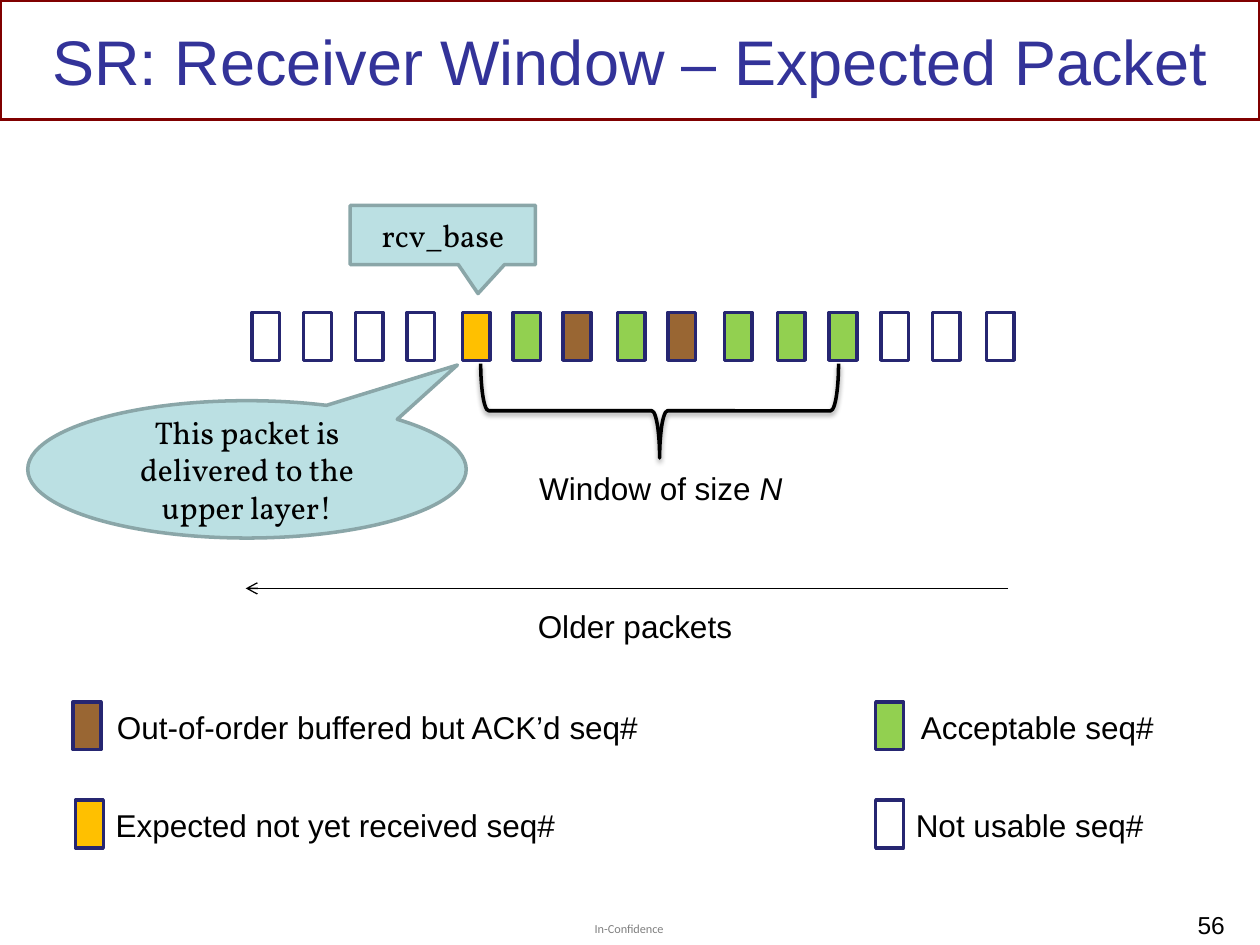
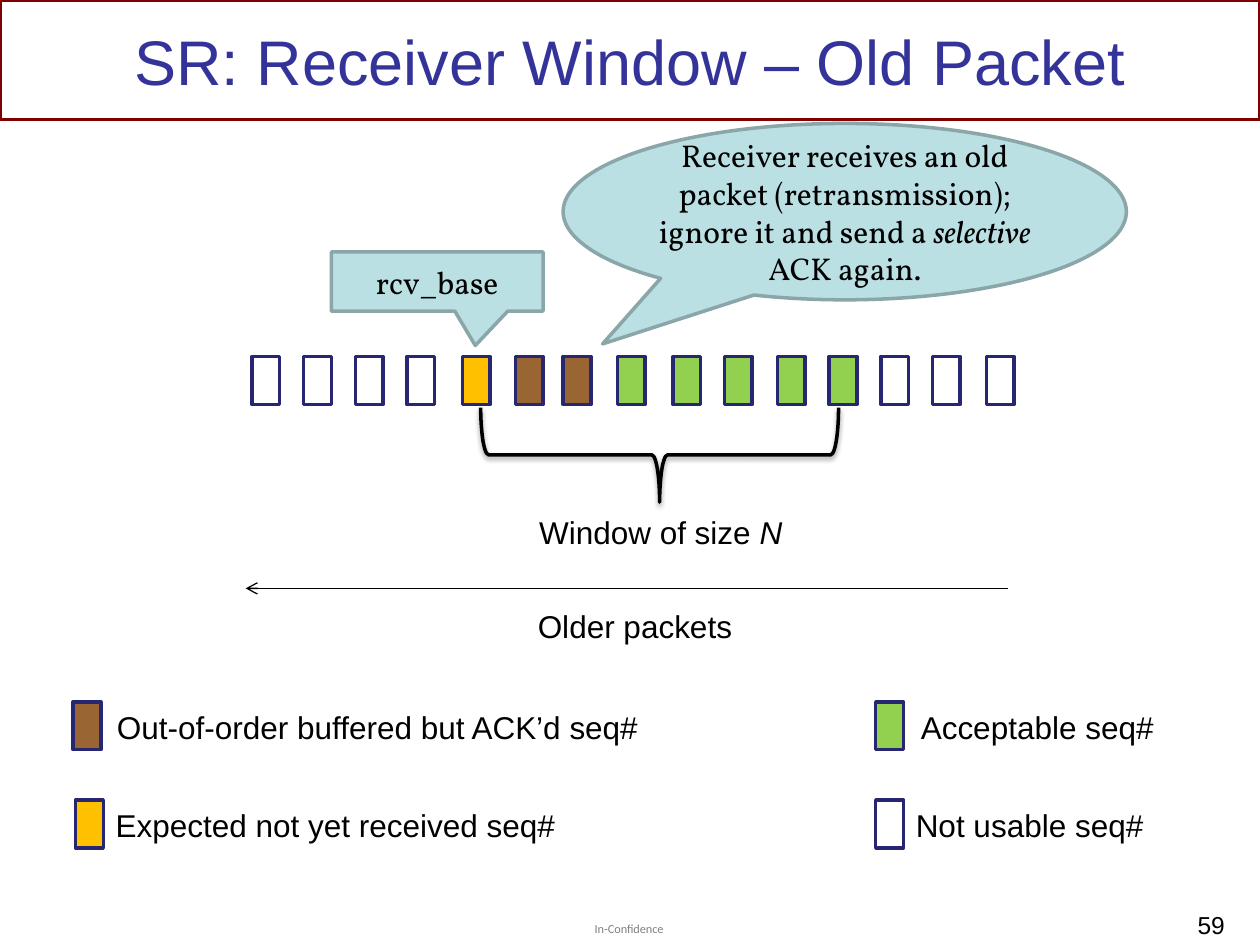
from lxml import etree
from pptx import Presentation
from pptx.dml.color import RGBColor
from pptx.enum.shapes import MSO_CONNECTOR, MSO_SHAPE
from pptx.enum.text import MSO_ANCHOR, MSO_AUTO_SIZE, PP_ALIGN
from pptx.oxml import parse_xml
from pptx.oxml.ns import nsdecls, qn
from pptx.util import Inches, Pt

RECTANGLE = MSO_SHAPE.RECTANGLE
RIGHT_BRACE = MSO_SHAPE.RIGHT_BRACE
BOX_CALLOUT = MSO_SHAPE.RECTANGULAR_CALLOUT
OVAL_CALLOUT = MSO_SHAPE.OVAL_CALLOUT
STRAIGHT = MSO_CONNECTOR.STRAIGHT
LEFT, CENTER, RIGHT = PP_ALIGN.LEFT, PP_ALIGN.CENTER, PP_ALIGN.RIGHT
TOP, MIDDLE = MSO_ANCHOR.TOP, MSO_ANCHOR.MIDDLE
GROW, FIXED = MSO_AUTO_SIZE.SHAPE_TO_FIT_TEXT, MSO_AUTO_SIZE.NONE

COLORS = {
    "title": "333399", "title frame": "800000", "text": "000000", "footer": "808080",
    "packet line": "262671", "callout": "BBE0E3", "callout line": "8AA6A8",
    "buffered": "996633", "expected": "FFC000", "acceptable": "92D050", "unusable": "FFFFFF",
}
PACKET_KINDS = {"B": "buffered", "E": "expected", "A": "acceptable", "U": "unusable"}
PACKET_SIZE = (0.22, 0.38)
PACKET_LEFTS = [2, 2.41, 2.82, 3.23, 3.67, 4.07, 4.47, 4.9, 5.3, 5.75, 6.17, 6.58, 6.99, 7.4, 7.83]

# kind, packet left, top, label left, label width, label
LEGEND = [
    ("buffered", 0.58, 5.57, 0.83, 4.48, "Out-of-order buffered but ACK’d seq#"),
    ("expected", 0.6, 6.35, 0.82, 3.86, "Expected not yet received seq#"),
    ("acceptable", 6.95, 5.57, 7.21, 2.07, "Acceptable seq#"),
    ("unusable", 6.95, 6.35, 7.17, 2.03, "Not usable seq#"),
]

# Runs of text are (words, italic); a callout is (preset, box, pointer, runs).
SLIDES = [
    {
        "title": "SR: Receiver Window – Expected Packet",
        "number": "56",
        "row top": 2.48,
        "packets": "UUUUEABABAAAUUU",
        "moved": {},
        "callouts": [
            (BOX_CALLOUT, (2.78, 1.63, 1.47, 0.47), (0.19, 0.99), [("rcv_base", False)]),
            (OVAL_CALLOUT, (0.22, 3.18, 3.48, 1.09), (0.48, -0.76),
             [("This packet is delivered to the upper layer!", False)]),
        ],
    },
    {
        "title": "SR: Receiver Window – Old Packet",
        "number": "59",
        "row top": 2.83,
        "packets": "UUUUEBBAAAAAUUU",
        "moved": {5: 4.09, 8: 5.34},
        "callouts": [
            (BOX_CALLOUT, (2.63, 2, 1.68, 0.47), (0.18, 1.08), [("rcv_base", False)]),
            (OVAL_CALLOUT, (4.47, 0.98, 4.47, 1.4), (-0.43, 0.75),
             [("Receiver receives an old packet (retransmission); ignore it and send a ", False),
              ("selective", True), (" ACK again.", False)]),
        ],
    },
]


def color(name):
    return RGBColor.from_string(COLORS[name])


def write(shape, runs, size=18, font="Arial", ink="text", align=LEFT, anchor=TOP,
          wrap=True, auto_size=FIXED):
    frame = shape.text_frame
    frame.word_wrap = wrap
    frame.auto_size = auto_size
    frame.vertical_anchor = anchor
    paragraph = frame.paragraphs[0]
    paragraph.alignment = align
    paragraph.font.size = Pt(size)
    paragraph.font.name = font
    paragraph.font.color.rgb = color(ink)
    for words, italic in runs:
        run = paragraph.add_run()
        run.text = words
        if italic:
            run.font.italic = True


def add_text(slide, box, runs, **style):
    shape = slide.shapes.add_textbox(*map(Inches, box))
    write(shape, runs, **style)
    return shape


def add_label(slide, left, top, width, runs):
    add_text(slide, (left, top, width, 0.4), runs, wrap=False, auto_size=GROW)


def add_figure(slide, preset, box, line, fill=None):
    shape = slide.shapes.add_shape(preset, *map(Inches, box))
    shape.shadow.inherit = False
    shape.line.color.rgb = color(line)
    shape.line.width = Pt(2)
    if fill:
        shape.fill.solid()
        shape.fill.fore_color.rgb = color(fill)
    else:
        shape.fill.background()
    return shape


def add_packet(slide, left, top, kind):
    add_figure(slide, RECTANGLE, (left, top, *PACKET_SIZE), "packet line", kind)


def add_callout(slide, preset, box, pointer, runs):
    shape = add_figure(slide, preset, box, "callout line", "callout")
    for index, offset in enumerate(pointer):
        shape.adjustments[index] = offset
    write(shape, runs, font="Vollkorn", align=CENTER, anchor=MIDDLE)


def add_frame(slide, title, number):
    """Title band, footer and slide number."""
    add_figure(slide, RECTANGLE, (0, 0, 10, 0.95), "title frame")
    footer = add_text(slide, (4.72, 7.31, 0.57, 0.12), [("In-Confidence", False)],
                      size=7, font="Calibri", ink="footer", wrap=False, auto_size=GROW)
    frame = footer.text_frame
    frame.margin_left = frame.margin_right = frame.margin_top = frame.margin_bottom = 0
    add_text(slide, (0, 0.08, 10, 0.79), [(title, False)],
             size=36, ink="title", align=CENTER, anchor=MIDDLE)
    add_text(slide, (7.62, 7.17, 2.2, 0.3), [(number, False)], size=14, align=RIGHT)


def add_window_brace(slide, row_top):
    brace = add_figure(slide, RIGHT_BRACE, (4.86, row_top - 0.64, 0.75, 2.84), "text")
    brace.rotation = 90
    effects = brace._element.spPr.find(qn("a:effectLst"))
    effects.append(parse_xml(
        f'<a:outerShdw {nsdecls("a")} blurRad="{Pt(3.1)}" dist="{Pt(1.6)}" dir="5400000" '
        'rotWithShape="0"><a:srgbClr val="000000"><a:alpha val="38000"/></a:srgbClr>'
        '</a:outerShdw>'))
    add_label(slide, 4.18, row_top + 1.19, 2.15, [("Window of size ", False), ("N", True)])


def add_age_arrow(slide):
    arrow = slide.shapes.add_connector(
        STRAIGHT, Inches(8), Inches(4.67), Inches(1.95), Inches(4.67))
    arrow.line.color.rgb = color("text")
    arrow.line.width = Pt(0.75)
    etree.SubElement(arrow.line._get_or_add_ln(), qn("a:tailEnd"), type="arrow")
    etree.SubElement(arrow._element.spPr, qn("a:effectLst"))
    add_label(slide, 4.17, 4.77, 1.76, [("Older packets", False)])


def add_legend(slide):
    for kind, left, top, label_left, width, label in LEGEND:
        add_packet(slide, left, top, kind)
        add_label(slide, label_left, top, width, [(label, False)])


def main():
    presentation = Presentation()
    presentation.slide_width, presentation.slide_height = Inches(10), Inches(7.5)
    for content in SLIDES:
        slide = presentation.slides.add_slide(presentation.slide_layouts[6])
        add_frame(slide, content["title"], content["number"])
        for index, (left, letter) in enumerate(zip(PACKET_LEFTS, content["packets"])):
            left = content["moved"].get(index, left)
            add_packet(slide, left, content["row top"], PACKET_KINDS[letter])
        add_window_brace(slide, content["row top"])
        for callout in content["callouts"]:
            add_callout(slide, *callout)
        add_age_arrow(slide)
        add_legend(slide)
    presentation.save("out.pptx")


if __name__ == "__main__":
    main()
